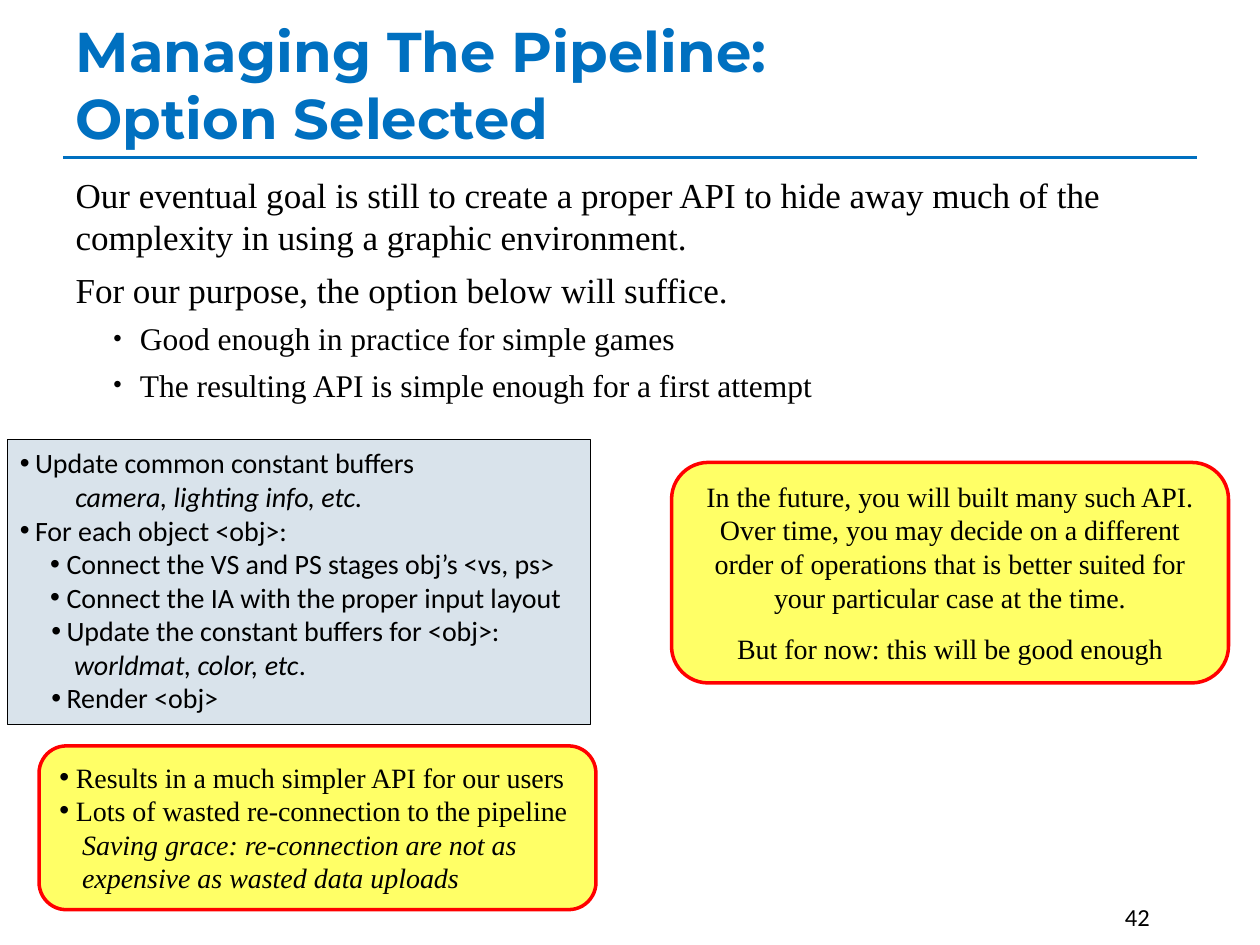
from dataclasses import dataclass

from lxml.etree import SubElement
from pptx import Presentation
from pptx.dml.color import RGBColor
from pptx.enum.shapes import MSO_CONNECTOR as Connector, MSO_SHAPE as Shape
from pptx.enum.text import MSO_ANCHOR as Anchor, MSO_AUTO_SIZE as AutoSize, PP_ALIGN as Align
from pptx.oxml.ns import qn
from pptx.util import Inches, Pt

BLUE, BLACK, RED = "0070C0", "000000", "FF0000"
YELLOW, PALE_BLUE = "FFFF66", "D9E3EB"
SERIF, SANS, HEADING = "Times New Roman", "Calibri", "Montserrat"


@dataclass
class Item:
    """One paragraph: indents in inches, sizes and spacing in points."""
    text: str
    left: float = 0
    hang: float = 0
    level: int = 0
    size: float = 16
    before: float = 0
    bullet_size: int = 100
    italic: bool = False
    tail: str = ""


GOALS = [
    Item("Our eventual goal is still to create a proper API to hide away much of the "
         "complexity in using a graphic environment.", size=20, before=6),
    Item("For our purpose, the option below will suffice.", size=20, before=6),
    Item("Good enough in practice for simple games", 0.51, 0.21, 1, 18, 5, 76),
    Item("The resulting API is simple enough for a first attempt", 0.51, 0.21, 1, 18, 5, 76),
]
STEPS = [
    Item("Update common constant buffers", 0.12, 0.12),
    Item("camera, lighting info, etc.", 0.44, level=1, italic=True),
    Item("For each object <obj>:", 0.12, 0.12, 1),
    Item("Connect the VS and PS stages obj’s <vs, ps>", 0.37, 0.13, 1),
    Item("Connect the IA with the proper input layout", 0.37, 0.13, 1),
    Item("Update the constant buffers for <obj>:", 0.37, 0.12, 1),
    Item("worldmat, color, etc", 0.43, level=2, italic=True, tail="."),
    Item("Render <obj>", 0.37, 0.12, 1),
]
RESULTS = [
    Item("Results in a much simpler API for our users", 0.13, 0.13),
    Item("Lots of wasted re-connection to the pipeline", 0.13, 0.13),
    Item("Saving grace: re-connection are not as expensive as wasted data uploads",
         0.18, level=1, italic=True),
]
FUTURE = [
    Item("In the future, you will built many such API. Over time, you may decide on a "
         "different order of operations that is better suited for your particular case "
         "at the time."),
    Item("But for now: this will be good enough", before=10),
]


def color(value):
    """Turn a hex string into a colour."""
    return RGBColor.from_string(value)


def place(box, left, top, width, height):
    """Set position and size in inches."""
    box.left, box.top = Inches(left), Inches(top)
    box.width, box.height = Inches(width), Inches(height)


def style(para, font, size, fill=BLACK, bold=False, italic=False):
    """Format every run of a paragraph."""
    for span in para.runs:
        span.font.name, span.font.size = font, Pt(size)
        span.font.bold, span.font.italic = bold, italic
        span.font.color.rgb = color(fill)


def indent(para, item):
    """Apply the indents and the bullet of an item."""
    props = para._p.get_or_add_pPr()
    props.set("marL", str(Inches(item.left)))
    props.set("indent", str(-Inches(item.hang)))
    if item.hang:
        SubElement(props, qn("a:buSzPct"), val=str(item.bullet_size * 1000))
        SubElement(props, qn("a:buFont"), typeface="Arial")
        SubElement(props, qn("a:buChar"), char="•")
    else:
        SubElement(props, qn("a:buNone"))


def write_items(frame, items, font, align=Align.LEFT):
    """Write the items as paragraphs of a text frame."""
    frame.word_wrap = True
    frame.vertical_anchor = Anchor.TOP
    for index, item in enumerate(items):
        para = frame.add_paragraph() if index else frame.paragraphs[0]
        para.text = item.text
        para.level, para.alignment = item.level, align
        para.space_before = Pt(item.before)
        indent(para, item)
        style(para, font, item.size, italic=item.italic)
        if item.tail:
            span = para.add_run()
            span.text = item.tail
            style(para, font, item.size)
            para.runs[0].font.italic = item.italic


def add_panel(page, kind, bounds, fill, line, weight, items, font, align=Align.LEFT):
    """Add a filled and outlined shape holding items."""
    panel = page.shapes.add_shape(kind, *map(Inches, bounds))
    panel.shadow.inherit = False
    panel.fill.solid()
    panel.fill.fore_color.rgb = color(fill)
    panel.line.color.rgb = color(line)
    panel.line.width = Pt(weight)
    write_items(panel.text_frame, items, font, align)
    panel.text_frame.auto_size = AutoSize.SHAPE_TO_FIT_TEXT


def add_rule(page, left, right, top):
    """Add the horizontal rule below the title."""
    rule = page.shapes.add_connector(
        Connector.STRAIGHT, Inches(left), Inches(top), Inches(right), Inches(top))
    rule.line.color.rgb = color(BLUE)
    rule.line.width = Pt(2)
    SubElement(rule._element.spPr, qn("a:effectLst"))


def fill_title(title, text):
    """Place and format the title."""
    place(title, 0.5, 0.17, 9.42, 1.08)
    frame = title.text_frame
    frame.text = text
    frame.auto_size = AutoSize.NONE
    frame.vertical_anchor = Anchor.BOTTOM
    frame.paragraphs[0].alignment = Align.LEFT
    style(frame.paragraphs[0], HEADING, 32, BLUE, bold=True)


def fill_body(body, items):
    """Place the body and write its list."""
    place(body, 0.5, 1.33, 9.42, 5.75)
    write_items(body.text_frame, items, SERIF)
    body.text_frame.auto_size = AutoSize.NONE


def add_page_number(page, number):
    """Add the page number at the bottom right."""
    box = page.shapes.add_textbox(*map(Inches, (8.83, 7.11, 0.67, 0.4)))
    write_items(box.text_frame, [Item(number, size=14)], SANS)


def main():
    """Build and save the slide."""
    deck = Presentation()
    deck.slide_width, deck.slide_height = Inches(10), Inches(7.5)
    page = deck.slides.add_slide(deck.slide_layouts[1])
    add_rule(page, 0.5, 9.5, 1.25)
    fill_title(page.shapes.title, "Managing The Pipeline: \vOption Selected")
    add_page_number(page, "42")
    fill_body(page.placeholders[1], GOALS)
    add_panel(page, Shape.RECTANGLE, (0.06, 3.49, 4.63, 2.26),
              PALE_BLUE, BLACK, 0.75, STEPS, SANS)
    add_panel(page, Shape.ROUNDED_RECTANGLE, (0.31, 5.92, 4.42, 1.3),
              YELLOW, RED, 2, RESULTS, SERIF)
    add_panel(page, Shape.ROUNDED_RECTANGLE, (5.33, 3.67, 4.42, 1.75),
              YELLOW, RED, 2, FUTURE, SERIF, Align.CENTER)
    deck.save("out.pptx")


if __name__ == "__main__":
    main()
